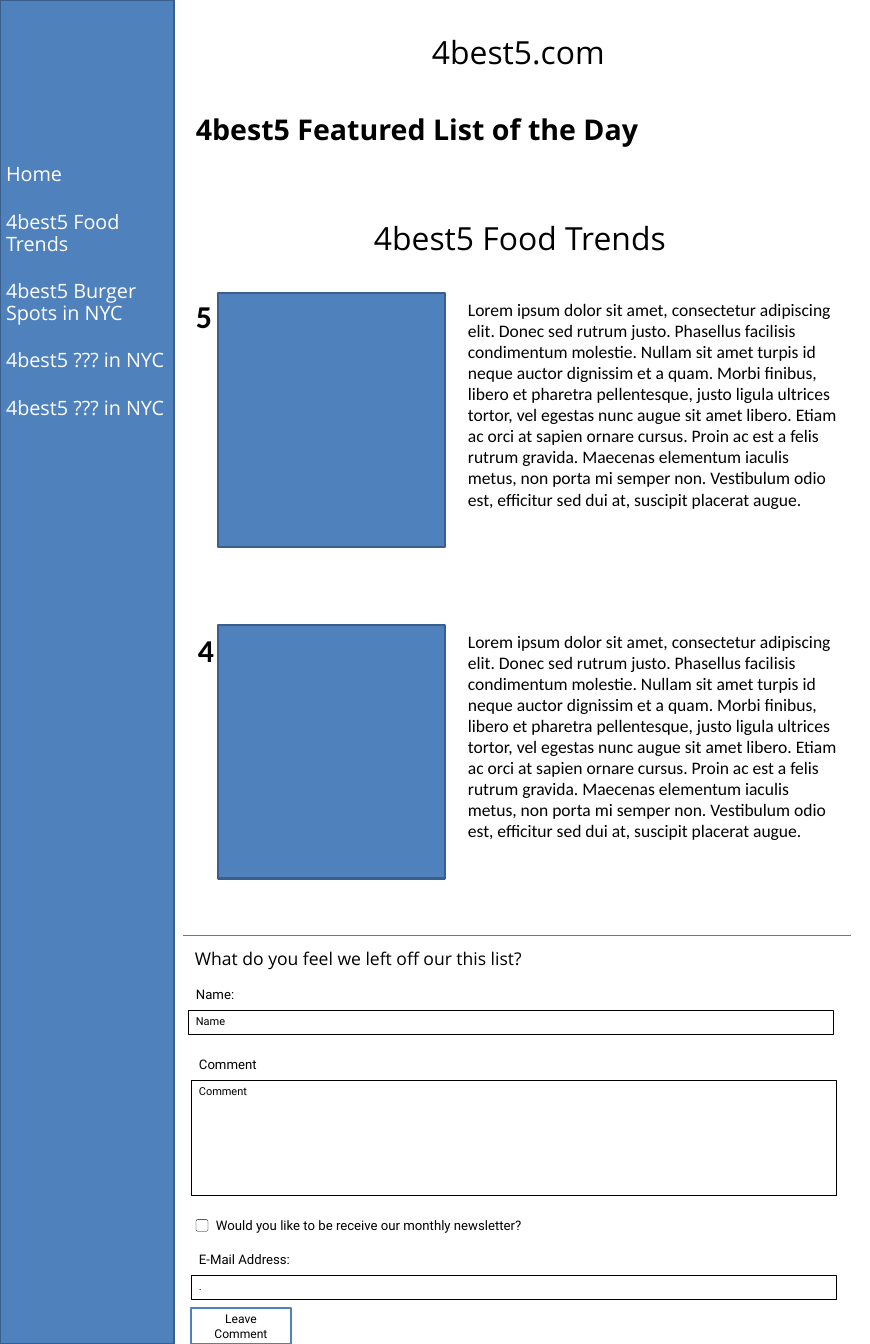
from pptx import Presentation
from pptx.dml.color import RGBColor
from pptx.enum.shapes import MSO_CONNECTOR, MSO_SHAPE
from pptx.enum.text import MSO_ANCHOR, MSO_AUTO_SIZE, PP_ALIGN
from pptx.oxml.ns import qn
from pptx.util import Inches, Pt
from lxml.etree import SubElement

BLUE = RGBColor(0x4F, 0x81, 0xBD)
NAVY = RGBColor(0x3A, 0x5F, 0x8C)
RULE = RGBColor(0x4B, 0x7E, 0xBC)
BLACK = RGBColor(0, 0, 0)
WHITE = RGBColor(255, 255, 255)
SANS, BODY, FORM = "Open Sans", "Calibri", "Roboto"
WIDE, THIN = (13, 6), (8, 4)
SCALE = Inches(1) / 79.1

LINKS = ["Home", "4best5 Food Trends", "4best5 Burger Spots in NYC",
         "4best5 ??? in NYC", "4best5 ??? in NYC"]
LOREM = (
    "Lorem ipsum dolor sit amet, consectetur adipiscing elit. Donec sed "
    "rutrum justo. Phasellus facilisis condimentum molestie. Nullam sit amet "
    "turpis id neque auctor dignissim et a quam. Morbi finibus, libero et "
    "pharetra pellentesque, justo ligula ultrices tortor, vel egestas nunc "
    "augue sit amet libero. Etiam ac orci at sapien ornare cursus. Proin ac "
    "est a felis rutrum gravida. Maecenas elementum iaculis metus, non porta "
    "mi semper non. Vestibulum odio est, efficitur sed dui at, suscipit "
    "placerat augue.")


def emu(px):
    return round(px * SCALE)


def place(shape, box):
    shape.left, shape.top, shape.width, shape.height = map(emu, box)


def write(shape, lines, size, font, color=BLACK, bold=False, pad=THIN,
          wrap=True, align=PP_ALIGN.LEFT, anchor=MSO_ANCHOR.TOP):
    frame = shape.text_frame
    frame.auto_size = MSO_AUTO_SIZE.NONE
    frame.word_wrap = wrap
    frame.vertical_anchor = anchor
    frame.margin_left = frame.margin_right = emu(pad[0])
    frame.margin_top = frame.margin_bottom = emu(pad[1])
    for i, line in enumerate(lines):
        para = frame.add_paragraph() if i else frame.paragraphs[0]
        para.alignment = align
        run = para.add_run()
        run.text = line
        run.font.size = Pt(size)
        run.font.name = font
        run.font.bold = bold
        run.font.color.rgb = color
    return frame


def label(slide, box, line, size, font, **style):
    shape = slide.shapes.add_textbox(*map(emu, box))
    write(shape, [line], size, font, **style)


def block(slide, box, fill, line, width, kind=MSO_SHAPE.RECTANGLE):
    shape = slide.shapes.add_shape(kind, *map(emu, box))
    shape.shadow.inherit = False
    if fill is None:
        shape.fill.background()
    else:
        shape.fill.solid()
        shape.fill.fore_color.rgb = fill
    shape.line.color.rgb = line
    shape.line.width = Pt(width)
    return shape


def sidebar(slide, box):
    x, y, w, h = box
    panel = block(slide, box, BLUE, NAVY, 2)
    menu = slide.placeholders[1]
    panel._element.addnext(menu._element)
    place(menu, (x - 2, y + 161, w + 21, 330))
    frame = write(menu, LINKS, 18, SANS, WHITE)
    for para in frame.paragraphs:
        para.space_before = Pt(0)
        para.space_after = Pt(24)
        para.line_spacing = 0.9
        props = para._p.get_or_add_pPr()
        props.set("marL", "0")
        props.set("indent", "0")
        SubElement(props, qn("a:buNone"))


def header(slide, box):
    x, y, w, h = box
    title = slide.shapes.title
    place(title, (x + 236, y, 226, 51))
    write(title, ["4best5.com"], 29, SANS, pad=WIDE, wrap=False)
    label(slide, (x, y + 79, w, 47), "4best5 Featured List of the Day",
          26, SANS, bold=True, pad=WIDE)
    label(slide, (x + 178, y + 186, 353, 51), "4best5 Food Trends",
          29, SANS, pad=WIDE, wrap=False)


def entry(slide, box, rank, dx, dy):
    x, y, w, h = box
    block(slide, (x + 35, y, 227, h), BLUE, NAVY, 2)
    label(slide, (x + 272, y, w - 272, 225), LOREM, 16, BODY, pad=WIDE)
    label(slide, (x + dx, y + dy, 42, 51), rank, 29, BODY,
          bold=True, pad=WIDE, wrap=False)


def form(slide, box):
    x, y, w, h = box
    rule = slide.shapes.add_connector(
        MSO_CONNECTOR.STRAIGHT, emu(x), emu(y), emu(x + w), emu(y))
    rule.line.color.rgb = RULE
    rule.line.width = Pt(1.5)
    SubElement(rule._element.spPr, qn("a:effectLst"))
    label(slide, (x + 4, y + 8, 380, 29),
          "What do you feel we left off our this list?", 16, SANS, wrap=False)
    for name, hint, dx, dy, tall in (
            ("Name:", "Name", 5, 75, 24),
            ("Comment", "Comment", 8, 145, 115),
            ("E-Mail Address:", ".", 8, 340, 24)):
        label(slide, (x + dx, y + dy - 28, 112, 24), name, 12, FORM,
              wrap=False)
        field = block(slide, (x + dx, y + dy, 645, tall), None, BLACK, 0.25)
        write(field, [hint], 10, FORM)
    block(slide, (x + 13, y + 284, 12, 12), WHITE, BLACK, 0.25,
          MSO_SHAPE.ROUNDED_RECTANGLE)
    label(slide, (x + 25, y + 278, 330, 24),
          "Would you like to be receive our monthly newsletter?", 12, FORM,
          wrap=False)
    button = block(slide, (x + 8, y + 373, 100, 36), None, BLUE, 2)
    write(button, ["Leave Comment"], 11, FORM,
          align=PP_ALIGN.CENTER, anchor=MSO_ANCHOR.MIDDLE)


deck = Presentation()
deck.slide_width, deck.slide_height = Inches(11), Inches(17)
page = deck.slides.add_slide(deck.slide_layouts[1])
sidebar(page, (0, 0, 174, 1345))
header(page, (183, 27, 668, 237))
entry(page, (183, 293, 668, 254), "5", 0, -2)
entry(page, (183, 625, 668, 254), "4", 2, 0)
form(page, (183, 936, 668, 409))
deck.save("out.pptx")
